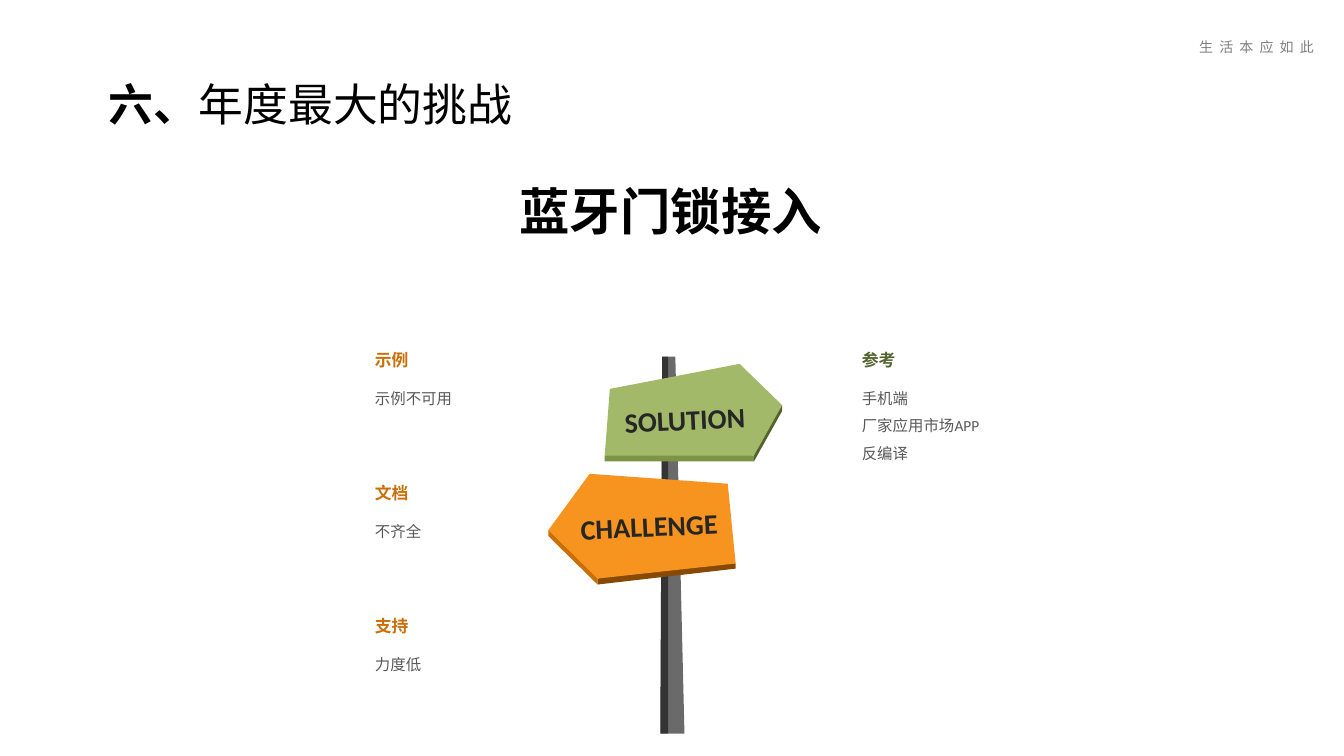
"""Builds the slide on the year's biggest challenge, with its signpost and notes."""
import dataclasses

import lxml.etree
import pptx
import pptx.dml.color
import pptx.enum.text
import pptx.oxml.ns
import pptx.util

Cm = pptx.util.Cm
Align = pptx.enum.text.PP_ALIGN
Anchor = pptx.enum.text.MSO_ANCHOR
AutoSize = pptx.enum.text.MSO_AUTO_SIZE
qn = pptx.oxml.ns.qn


@dataclasses.dataclass(frozen=True)
class Theme:
    latin: str = "Calibri"
    east_asian: str = "Noto Sans CJK SC"
    black: str = "000000"
    motto: str = "808080"
    body: str = "595959"
    label: str = "262626"
    pole: str = "6A6A6A"
    green: str = "A2B969"
    green_edge: str = "7E9445"
    green_dark: str = "54632E"
    orange: str = "F7931F"
    orange_edge: str = "C96F07"
    orange_dark: str = "864A05"
    motto_size: int = 10
    body_size: int = 11
    heading_size: int = 12
    label_size: int = 20
    title_size: int = 32
    headline_size: int = 36


class SlideBuilder:
    def __init__(self, slide, theme):
        self.slide = slide
        self.theme = theme

    def style(self, paragraph, size, color, bold=None, latin=None, tracking=None):
        font = paragraph.font
        font.size = pptx.util.Pt(size)
        font.bold = bold
        font.color.rgb = pptx.dml.color.RGBColor.from_string(color)
        font.name = latin or self.theme.latin
        properties = paragraph._p.pPr.find(qn("a:defRPr"))
        east_asian = lxml.etree.SubElement(properties, qn("a:ea"))
        east_asian.set("typeface", self.theme.east_asian)
        if tracking:
            properties.set("spc", str(tracking))

    def title(self, box, number, wording):
        title = self.slide.shapes.title
        title.left, title.top, title.width, title.height = map(Cm, box)
        frame = title.text_frame
        frame.auto_size = AutoSize.NONE
        frame.vertical_anchor = Anchor.TOP
        paragraph = frame.paragraphs[0]
        paragraph.alignment = Align.LEFT
        for part, bold in ((number, True), (wording, False)):
            run = paragraph.add_run()
            run.text = part
            run.font.bold = bold
        self.style(paragraph, self.theme.title_size, self.theme.black)

    def text(self, box, lines, size, color, bold=False, align=Align.LEFT,
             anchor=Anchor.TOP, side_inset=0.0, wrap=True, spacing=None,
             rotation=0, latin=None, tracking=None):
        shape = self.slide.shapes.add_textbox(*map(Cm, box))
        shape.rotation = rotation
        frame = shape.text_frame
        frame.word_wrap = wrap
        frame.auto_size = AutoSize.SHAPE_TO_FIT_TEXT
        frame.vertical_anchor = anchor
        frame.margin_left = frame.margin_right = Cm(side_inset)
        frame.text = "\n".join(lines)
        for paragraph in frame.paragraphs:
            paragraph.alignment = align
            paragraph.line_spacing = spacing
            self.style(paragraph, size, color, bold, latin, tracking)

    def polygon(self, points, color, opacity=None):
        corners = [(Cm(x), Cm(y)) for x, y in points]
        builder = self.slide.shapes.build_freeform(*corners[0])
        builder.add_line_segments(corners[1:], close=True)
        shape = builder.convert_to_shape()
        shape.shadow.inherit = False
        shape.line.fill.background()
        shape.fill.solid()
        shape.fill.fore_color.rgb = pptx.dml.color.RGBColor.from_string(color)
        if opacity is not None:
            fill_color = shape._element.spPr.find(qn("a:solidFill"))[0]
            alpha = lxml.etree.SubElement(fill_color, qn("a:alpha"))
            alpha.set("val", str(opacity * 1000))

    def sign(self, faces, label, label_box):
        for points, color in faces:
            self.polygon(points, color)
        self.text(label_box, [label], self.theme.label_size, self.theme.label,
                  bold=True, anchor=Anchor.MIDDLE, side_inset=0.25, wrap=False,
                  rotation=357.4)

    def note(self, left, top, heading, lines, color, body_height=1.19):
        width, heading_height = 3.78, 0.96
        self.text((left, top, width, heading_height), [heading],
                  self.theme.heading_size, color, bold=True, anchor=Anchor.BOTTOM)
        self.text((left, top + heading_height, width, body_height), lines,
                  self.theme.body_size, self.theme.body,
                  align=Align.JUSTIFY, spacing=1.5)


def main():
    theme = Theme()
    deck = pptx.Presentation()
    deck.slide_width, deck.slide_height = Cm(33.87), Cm(19.05)
    page = SlideBuilder(deck.slides.add_slide(deck.slide_layouts[5]), theme)

    page.text((29.97, 0.84, 4.39, 1.19), ["生 活 本 应 如 此"], theme.motto_size,
              theme.motto, side_inset=0.25, latin=theme.east_asian, tracking=110)
    page.title((2.49, 1.8, 16.94, 1.63), "六、", "年度最大的挑战")
    page.text((8.03, 3.96, 17.75, 2.24), ["蓝牙门锁接入"], theme.headline_size,
              theme.black, bold=True, align=Align.CENTER, anchor=Anchor.BOTTOM)

    pole_top, pole_foot = 8.99, 18.49
    for top_right, foot_right, color, opacity in (
            (17.02, 17.25, theme.pole, None), (16.84, 16.84, theme.black, 50)):
        page.polygon([(16.69, pole_top), (top_right, pole_top),
                      (foot_right, pole_foot), (16.64, pole_foot)], color, opacity)

    solution_faces = [
        ([(15.24, 11.48), (17.17, 11.2), (19, 11.48), (19, 11.63),
          (15.24, 11.63)], theme.green_edge),
        ([(19, 11.48), (19.2, 10.8), (19.71, 10.21), (19.71, 10.36),
          (19, 11.63)], theme.green_dark),
        ([(15.37, 9.8), (15.24, 11.48), (19, 11.48), (19.71, 10.21),
          (18.64, 9.17)], theme.green),
    ]
    page.sign(solution_faces, "SOLUTION", (15.49, 9.86, 3.58, 1.4))

    challenge_faces = [
        ([(13.82, 13.36), (14.61, 13.84), (15.06, 14.58), (15.06, 14.73),
          (13.82, 13.51)], theme.orange_edge),
        ([(15.06, 14.58), (16.64, 14.17), (18.54, 14.2), (18.54, 14.33),
          (15.06, 14.73)], theme.orange_dark),
        ([(18.34, 12.19), (14.86, 11.94), (13.82, 13.36), (15.06, 14.58),
          (18.54, 14.2)], theme.orange),
    ]
    page.sign(challenge_faces, "CHALLENGE", (14.38, 12.55, 3.99, 1.4))

    notes_top, note_pitch = 8.48, 3.35
    challenges = [("示例", "示例不可用"), ("文档", "不齐全"), ("支持", "力度低")]
    for row, (heading, remark) in enumerate(challenges):
        page.note(9.45, notes_top + row * note_pitch, heading, [remark],
                  theme.orange_edge)
    page.note(21.72, notes_top, "参考", ["手机端", "厂家应用市场APP", "反编译"],
              theme.green_dark, body_height=2.97)

    deck.save("out.pptx")


if __name__ == "__main__":
    main()
